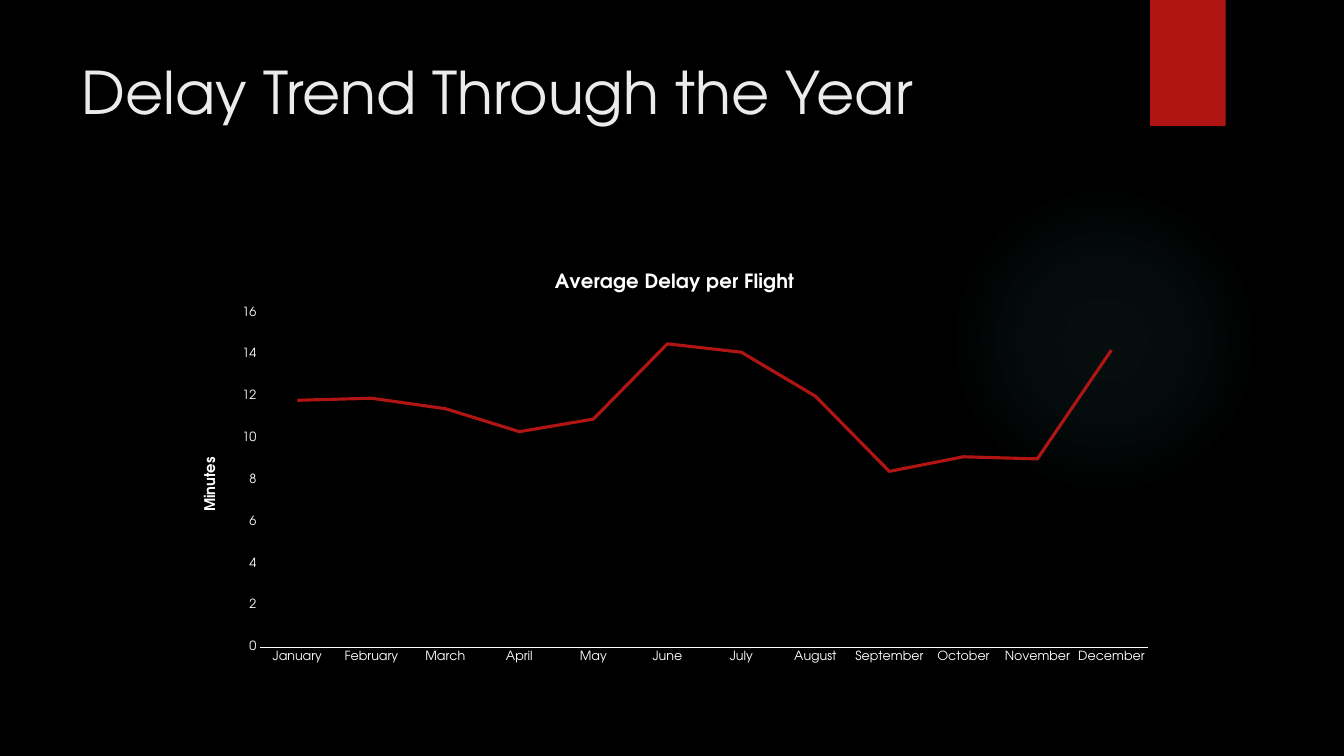
import pptx
import pptx.chart.data
import pptx.dml.color
import pptx.enum.chart
import pptx.enum.shapes
import pptx.enum.text
import pptx.oxml
import pptx.oxml.ns
import pptx.util

Pt = pptx.util.Pt
SHAPE = pptx.enum.shapes.MSO_SHAPE
FONT = "TeX Gyre Adventor"
COLORS = {"bg": "000000", "glow": "50B9C1", "accent": "B01513",
          "title": "EBEBEB", "chart": "FFFFFF"}
GLOW_STOPS = [(0, 7), (36, 6), (69, 0)]  # position %, opacity %
DELAYS = {"January": 11.8, "February": 11.9, "March": 11.4, "April": 10.3,
          "May": 10.9, "June": 14.5, "July": 14.1, "August": 12,
          "September": 8.4, "October": 9.1, "November": 9, "December": 14.2}


def rgb(name):
    return pptx.dml.color.RGBColor.from_string(COLORS[name])


def style_font(font, size, color, bold=False):
    font.name = FONT
    font.size = Pt(size)
    font.bold = bold
    font.color.rgb = rgb(color)


def add_plain_shape(s, kind, box, color):
    sp = s.shapes.add_shape(kind, *map(Pt, box))
    sp.shadow.inherit = False
    sp.line.fill.background()
    sp.fill.solid()
    sp.fill.fore_color.rgb = rgb(color)
    return sp


def add_glow(s, box):
    """Circle whose tint fades out from its centre."""
    sp = add_plain_shape(s, SHAPE.OVAL, box, "glow")
    stops = "".join(
        f'<a:gs pos="{pos * 1000}"><a:srgbClr val="{COLORS["glow"]}">'
        f'<a:alpha val="{alpha * 1000}"/></a:srgbClr></a:gs>'
        for pos, alpha in GLOW_STOPS)
    grad = pptx.oxml.parse_xml(
        f'<a:gradFill {pptx.oxml.ns.nsdecls("a")} rotWithShape="1">'
        f'<a:gsLst>{stops}</a:gsLst><a:path path="circle">'
        '<a:fillToRect l="50000" t="50000" r="50000" b="50000"/>'
        '</a:path></a:gradFill>')
    spPr = sp.fill._xPr
    spPr.replace(spPr.find(pptx.oxml.ns.qn("a:solidFill")), grad)


def add_title(s, box, text):
    tf = s.shapes.add_textbox(*map(Pt, box)).text_frame
    tf.word_wrap = True
    tf.vertical_anchor = pptx.enum.text.MSO_ANCHOR.TOP
    r = tf.paragraphs[0].add_run()
    r.text = text
    style_font(r.font, 42, "title")


def add_chart_text(title, text, size):
    r = title.text_frame.paragraphs[0].add_run()
    r.text = text
    style_font(r.font, size, "chart", bold=True)


def set_plot_layout(chart, x, y, w, h):
    """Place the inner plot area, in fractions of the chart."""
    area = chart._chartSpace.chart.plotArea
    for old in area.findall(pptx.oxml.ns.qn("c:layout")):
        area.remove(old)
    sizes = "".join(f'<c:{tag} val="{val}"/>'
                    for tag, val in zip("xywh", (x, y, w, h)))
    area.insert(0, pptx.oxml.parse_xml(
        f'<c:layout {pptx.oxml.ns.nsdecls("c")}><c:manualLayout>'
        '<c:layoutTarget val="inner"/><c:xMode val="edge"/>'
        f'<c:yMode val="edge"/>{sizes}</c:manualLayout></c:layout>'))


def add_delay_chart(s, box):
    data = pptx.chart.data.CategoryChartData()
    data.categories = list(DELAYS)
    data.add_series("Series 1", list(DELAYS.values()))
    chart = s.shapes.add_chart(pptx.enum.chart.XL_CHART_TYPE.LINE,
                               *map(Pt, box), data).chart
    style_font(chart.font, 10, "chart")
    chart.has_legend = False
    chart.has_title = True
    add_chart_text(chart.chart_title, "Average Delay per Flight", 14)
    chart.chart_title.include_in_layout = False

    months, minutes = chart.category_axis, chart.value_axis
    for axis in (months, minutes):
        axis.has_major_gridlines = False
        axis.major_tick_mark = pptx.enum.chart.XL_TICK_MARK.NONE
        style_font(axis.tick_labels.font, 9, "chart")
    months.format.line.color.rgb = rgb("chart")
    months.format.line.width = Pt(0.75)
    minutes.format.line.fill.background()
    minutes.minimum_scale, minutes.maximum_scale = 0, 16
    minutes.major_unit = 2
    minutes.has_title = True
    add_chart_text(minutes.axis_title, "Minutes", 10.5)

    chart.plots[0].vary_by_categories = False
    series = chart.plots[0].series[0]
    series.smooth = False
    series.marker.style = pptx.enum.chart.XL_MARKER_STYLE.NONE
    series.format.line.color.rgb = rgb("accent")
    series.format.line.width = Pt(2.25)
    set_plot_layout(chart, 0.08, 0.14, 0.9, 0.8)


def build_trend_slide(prs):
    s = prs.slides.add_slide(prs.slide_layouts[6])
    s.background.fill.solid()
    s.background.fill.fore_color.rgb = rgb("bg")
    add_glow(s, (677.5, 131.8, 221.8, 221.8))
    add_plain_shape(s, SHAPE.RECTANGLE, (821.5, 0, 54, 90), "accent")
    add_title(s, (51.1, 36, 740.9, 110.2), "Delay Trend Through the Year")
    add_delay_chart(s, (129.6, 181.4, 704.9, 298.8))


def main():
    prs = pptx.Presentation()
    prs.slide_width, prs.slide_height = Pt(960), Pt(540)
    build_trend_slide(prs)
    prs.save("out.pptx")


if __name__ == "__main__":
    main()
